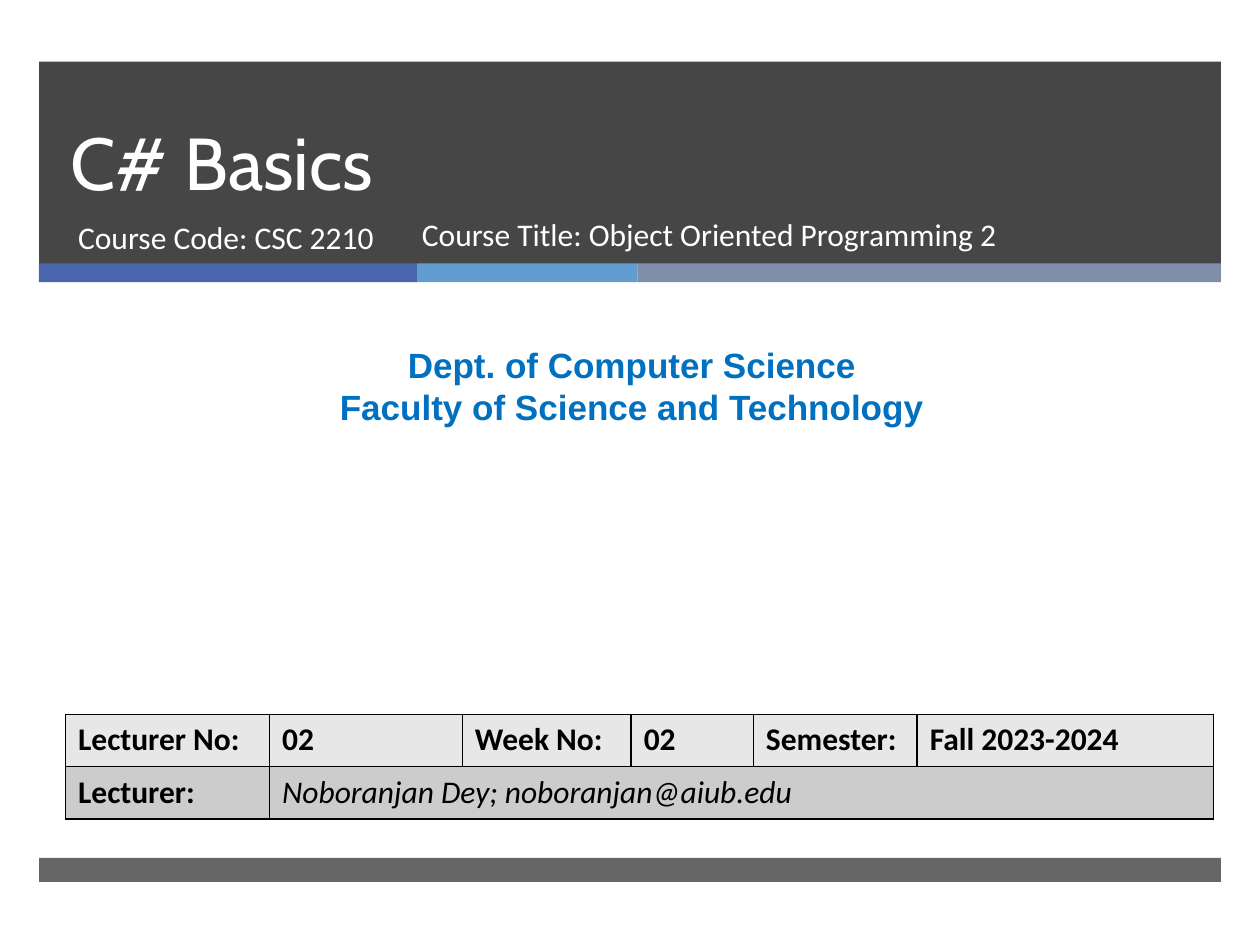
from itertools import accumulate

from lxml.etree import SubElement
from pptx import Presentation
from pptx.dml.color import RGBColor
from pptx.enum.shapes import MSO_SHAPE
from pptx.enum.text import MSO_ANCHOR, MSO_AUTO_SIZE, PP_ALIGN
from pptx.oxml import parse_xml
from pptx.oxml.ns import nsdecls, qn
from pptx.util import Inches, Pt

SLIDE_WIDTH, SLIDE_HEIGHT = Inches(10), Inches(7.5)
BAND_LEFT, BAND_WIDTH = 3.1, 93.8
COURSE = {"size": Pt(18), "name": "Calibri", "bold": False}
LABEL = {"size": Pt(18), "name": "Calibri", "bold": True}
LECTURER = {"size": Pt(18), "name": "Calibri", "italic": True, "bold": False}


def color(hex_value):
    """Turn a hex string into a colour."""
    return RGBColor.from_string(hex_value)


def box(left, top, width, height):
    """Turn percentages of the slide's size into lengths."""
    return [
        round(size * share / 100)
        for size, share in zip((SLIDE_WIDTH, SLIDE_HEIGHT) * 2, (left, top, width, height))
    ]


def add_band(slide, bounds, fill, opacity=100):
    """Add a borderless rectangle."""
    shape = slide.shapes.add_shape(MSO_SHAPE.RECTANGLE, *box(*bounds))
    shape.shadow.inherit = False
    shape.line.fill.background()
    shape.fill.solid()
    shape.fill.fore_color.rgb = color(fill)
    if opacity < 100:
        fill_color = shape.element.spPr.find(f".//{qn('a:srgbClr')}")
        SubElement(fill_color, qn("a:alpha"), val=str(opacity * 1000))


def write(text_frame, lines, font, fill, align=PP_ALIGN.LEFT, line_spacing=None):
    """Fill a text frame with formatted paragraphs."""
    text_frame.text = "\n".join(lines)
    for paragraph in text_frame.paragraphs:
        paragraph.alignment = align
        paragraph.space_before = Pt(0)
        paragraph.line_spacing = line_spacing
        for name, value in font.items():
            setattr(paragraph.font, name, value)
        paragraph.font.color.rgb = color(fill)


def place_text(shape, bounds, lines, font, fill, anchor=MSO_ANCHOR.TOP, **options):
    """Position a text shape and write into it."""
    shape.left, shape.top, shape.width, shape.height = box(*bounds)
    frame_format = {
        "word_wrap": True,
        "auto_size": MSO_AUTO_SIZE.NONE,
        "vertical_anchor": anchor,
    }
    for name, value in frame_format.items():
        setattr(shape.text_frame, name, value)
    write(shape.text_frame, lines, font, fill, **options)
    shape.element.getparent().append(shape.element)


def add_text(slide, bounds, *content, **options):
    """Add a text box."""
    shape = slide.shapes.add_textbox(*box(*bounds))
    place_text(shape, bounds, *content, **options)


def format_cell(cell, text, font, fill):
    """Write a cell and give it a fill and black borders."""
    write(cell.text_frame, [text], font, "000000")
    properties = cell._tc.get_or_add_tcPr()
    for side in ("lnL", "lnR", "lnT", "lnB"):
        properties.append(parse_xml(
            f'<a:{side} {nsdecls("a")} w="12700"><a:solidFill>'
            f'<a:srgbClr val="000000"/></a:solidFill></a:{side}>'
        ))
    cell.fill.solid()
    cell.fill.fore_color.rgb = color(fill)


def add_lecture_table(slide):
    """Add the table of lecture details."""
    details = ["Lecturer No:", "02", "Week No:", "02", "Semester:", "Fall 2023-2024"]
    lecturer = ["Lecturer:", "Noboranjan Dey; noboranjan@aiub.edu", "", "", "", ""]
    table = slide.shapes.add_table(2, 6, *box(5.2, 75.6, 91.1, 11.07)).table
    for column, width in zip(table.columns, (1.62, 1.53, 1.34, 0.97, 1.3, 2.35)):
        column.width = Inches(width)
    table.cell(1, 1).merge(table.cell(1, 5))
    for row, (texts, fill) in enumerate(((details, "E7E7E7"), (lecturer, "CCCCCC"))):
        for column, text in enumerate(texts):
            font = LECTURER if row and column else LABEL
            format_cell(table.cell(row, column), text, font, fill)


def main():
    """Build the title slide."""
    presentation = Presentation()
    presentation.slide_width, presentation.slide_height = SLIDE_WIDTH, SLIDE_HEIGHT
    slide = presentation.slides.add_slide(presentation.slide_layouts[0])

    add_band(slide, (BAND_LEFT, 6.53, BAND_WIDTH, 21.47), "262626", 85)
    stripe_widths = (30, 17.5, 46.3)
    stripe_lefts = accumulate(stripe_widths, initial=BAND_LEFT)
    for left, width, fill in zip(stripe_lefts, stripe_widths, ("4A66AC", "629DD1", "7F8FA9")):
        add_band(slide, (left, 27.87, width, 2), fill)
    add_band(slide, (BAND_LEFT, 90.8, BAND_WIDTH, 2.53), "262626", 70)

    place_text(slide.shapes.title, (4.6, 6.53, 85.4, 15.87), ["C# Basics"],
               {"size": Pt(42), "name": "Cabin"}, "FFFFFF",
               anchor=MSO_ANCHOR.BOTTOM, line_spacing=Pt(46))
    place_text(slide.placeholders[1], (5.2, 22.4, 30.5, 7.07),
               ["Course Code: CSC 2210"], COURSE, "FFFFFF")
    add_text(slide, (0.8, 35.73, 98.7, 10.27),
             ["Dept. of Computer Science", "Faculty of Science and Technology"],
             {"size": Pt(20), "name": "Arial", "bold": True}, "0070C0",
             align=PP_ALIGN.CENTER)
    add_lecture_table(slide)
    add_text(slide, (32.5, 22.13, 51.1, 7.07),
             ["Course Title: Object Oriented Programming 2"], COURSE, "FFFFFF")
    presentation.save("out.pptx")


if __name__ == "__main__":
    main()
